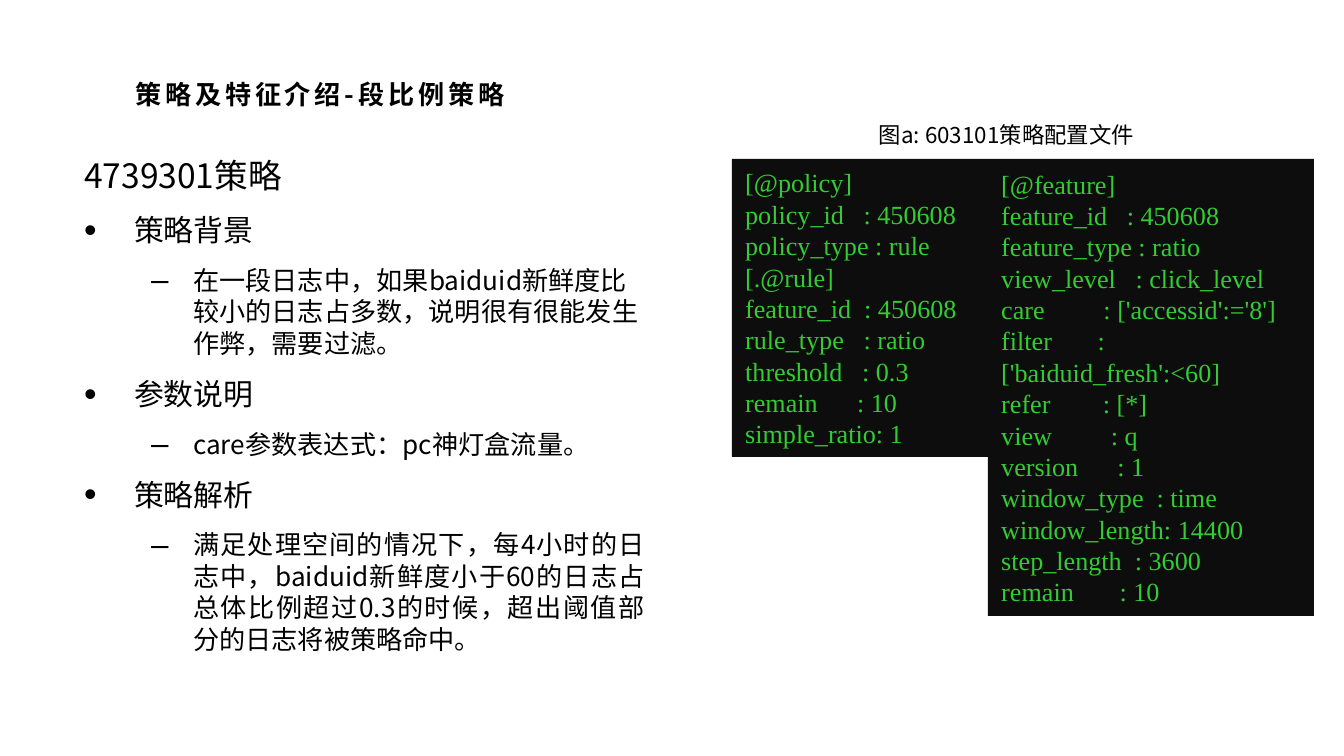
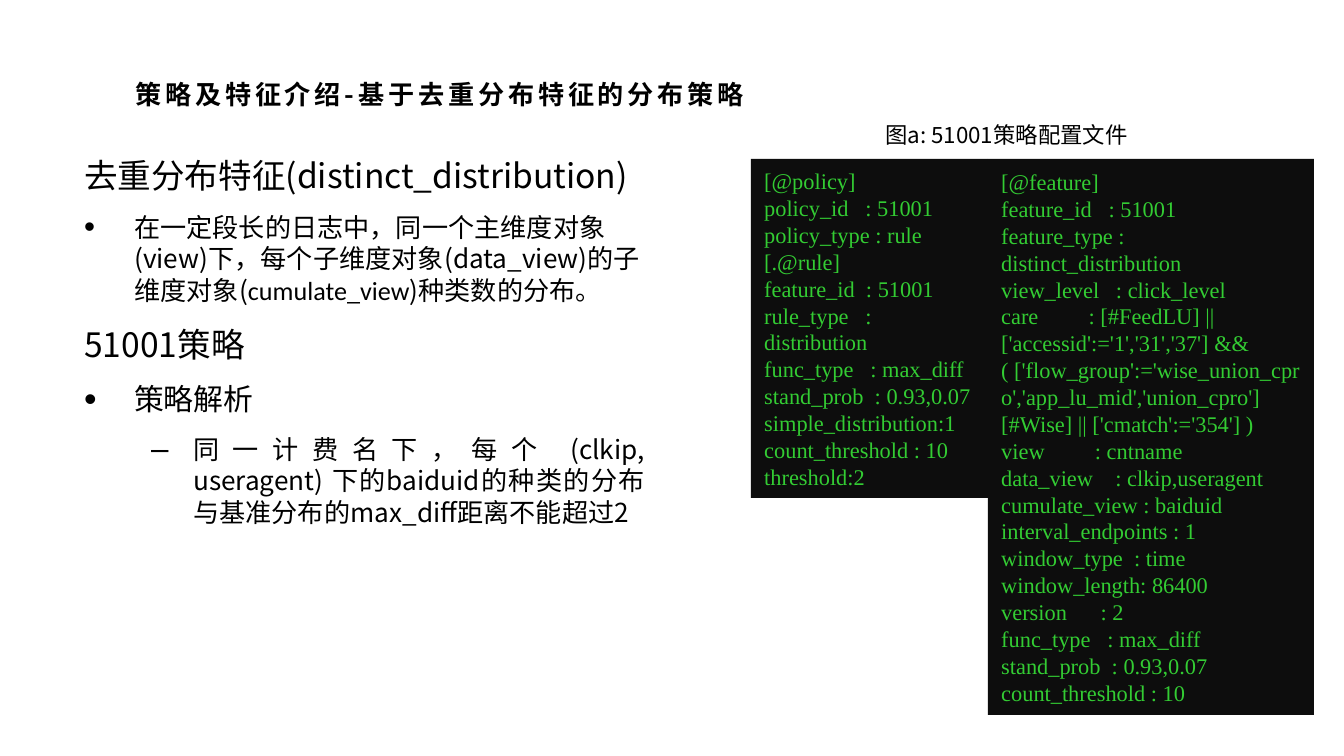
from lxml import etree
from pptx import Presentation
from pptx.dml.color import RGBColor
from pptx.enum.shapes import MSO_SHAPE
from pptx.enum.text import MSO_ANCHOR, MSO_AUTO_SIZE, PP_ALIGN
from pptx.oxml.ns import qn
from pptx.util import Emu, Pt

RECTANGLE = MSO_SHAPE.RECTANGLE
MIDDLE = MSO_ANCHOR.MIDDLE
GROW = MSO_AUTO_SIZE.SHAPE_TO_FIT_TEXT
LEFT, CENTER, JUSTIFY = PP_ALIGN.LEFT, PP_ALIGN.CENTER, PP_ALIGN.JUSTIFY

PX_PER_INCH = 134.4
BLACK, PANEL, GREEN = "000000", "0D0D0D", "33CC33"
SANS, SERIF, LATIN = "Noto Sans CJK SC", "Times New Roman", "Calibri"

BODY_BOX = (71, 148, 587, 575)
CAPTION_BOX = (781, 115, 451, 40)
PANEL_TOP = 159
FEATURE_LEFT, FEATURE_WIDTH = 988, 326

# Outline style: level, left margin, hanging indent, bullet
HEADING = (0, 0, 0, None)
BULLET = (0, 50, -50, "•")
DASH = (1, 109, -42, "–")


def px(length):
    return Emu(round(length * 914400 / PX_PER_INCH))


def color(hex_string):
    return RGBColor.from_string(hex_string)


def add_run(paragraph, text, size, font=SANS, fill=BLACK):
    run = paragraph.add_run()
    run.text = text
    run.font.size = Pt(size)
    run.font.color.rgb = color(fill)
    run.font.name = font
    properties = run.font._element
    etree.SubElement(properties, qn("a:ea")).set("typeface", font)
    return run


def add_text_box(slide, box):
    shape = slide.shapes.add_textbox(*map(px, box))
    shape.text_frame.word_wrap = True
    return shape.text_frame


def paragraphs(frame, items):
    """Yield each item with its own paragraph of the frame."""
    for index, item in enumerate(items):
        yield (frame.add_paragraph() if index else frame.paragraphs[0]), item


def set_outline(paragraph, style):
    level, margin, indent, bullet = style
    paragraph.level = level
    properties = paragraph._p.get_or_add_pPr()
    properties.set("marL", str(px(margin)))
    properties.set("indent", str(px(indent)))
    if bullet:
        etree.SubElement(properties, qn("a:buSzPct")).set("val", "120000")
        etree.SubElement(properties, qn("a:buFont")).set("typeface", "Arial")
        etree.SubElement(properties, qn("a:buChar")).set("char", bullet)


def add_title(slide, text, width):
    frame = add_text_box(slide, (122, 59, width, 58))
    frame.auto_size = GROW
    paragraph = frame.paragraphs[0]
    paragraph.line_spacing = 1.4
    run = add_run(paragraph, text, 14)
    run.font.bold = True
    run.font._element.set("spc", "200")


def add_body(slide, outline):
    """Each outline entry is style, size, alignment and (text, font) runs."""
    frame = add_text_box(slide, BODY_BOX)
    for paragraph, (style, size, alignment, runs) in paragraphs(frame, outline):
        set_outline(paragraph, style)
        paragraph.alignment = alignment
        if paragraph._p is not frame.paragraphs[0]._p:
            paragraph.space_before = Pt(size * 0.2)
        paragraph.space_after = Pt(6)
        for text, font in runs:
            add_run(paragraph, text, size, font)


def add_caption(slide, text):
    frame = add_text_box(slide, CAPTION_BOX)
    frame.auto_size = GROW
    frame.paragraphs[0].alignment = CENTER
    add_run(frame.paragraphs[0], text, 12)


def add_code_panel(slide, box, code, size):
    shape = slide.shapes.add_shape(RECTANGLE, *map(px, box))
    shape.shadow.inherit = False
    shape.fill.solid()
    shape.fill.fore_color.rgb = color(PANEL)
    shape.line.fill.background()
    frame = shape.text_frame
    frame.word_wrap = True
    frame.auto_size = GROW
    frame.vertical_anchor = MIDDLE
    for paragraph, line in paragraphs(frame, code.strip().splitlines()):
        paragraph.alignment = LEFT
        add_run(paragraph, line, size, SERIF, GREEN)


def add_policy_slide(presentation, content):
    slide = presentation.slides.add_slide(presentation.slide_layouts[6])
    add_title(slide, content["title"], content["title_width"])
    add_body(slide, content["outline"])
    size = content["code_size"]
    feature_box = (FEATURE_LEFT, PANEL_TOP, FEATURE_WIDTH, content["feature_height"])
    add_code_panel(slide, feature_box, content["feature"], size)
    add_caption(slide, content["caption"])
    width, height = content["policy_size"]
    policy_box = (FEATURE_LEFT - width, PANEL_TOP, width, height)
    add_code_panel(slide, policy_box, content["policy"], size)


def entry(style, size, text, alignment=LEFT):
    return style, size, alignment, [(text, SANS)]


RATIO_POLICY = {
    "title": "策略及特征介绍-段比例策略",
    "title_width": 404,
    "outline": [
        entry(HEADING, 18, "4739301策略"),
        entry(BULLET, 16, "策略背景"),
        entry(DASH, 14, "在一段日志中，如果baiduid新鲜度比较小的日志占多数，"
                        "说明很有很能发生作弊，需要过滤。"),
        entry(BULLET, 16, "参数说明", JUSTIFY),
        entry(DASH, 14, "care参数表达式：pc神灯盒流量。"),
        entry(BULLET, 16, "策略解析", JUSTIFY),
        entry(DASH, 14, "满足处理空间的情况下，每4小时的日志中，baiduid新鲜度小于60的日志"
                        "占总体比例超过0.3的时候，超出阈值部分的日志将被策略命中。", JUSTIFY),
    ],
    "caption": "图a: 603101策略配置文件",
    "code_size": 14,
    "policy_size": (256, 298),
    "policy": """
[@policy]
policy_id   : 450608
policy_type : rule
[.@rule]
feature_id  : 450608
rule_type   : ratio
threshold   : 0.3
remain      : 10
simple_ratio: 1
""",
    "feature_height": 457,
    "feature": """
[@feature]
feature_id   : 450608
feature_type : ratio
view_level   : click_level
care         : ['accessid':='8']
filter       : ['baiduid_fresh':<60]
refer        : [*]
view         : q
version      : 1
window_type  : time
window_length: 14400
step_length  : 3600
remain       : 10
""",
}

DISTRIBUTION_POLICY = {
    "title": "策略及特征介绍-基于去重分布特征的分布策略",
    "title_width": 644,
    "outline": [
        entry(HEADING, 18, "去重分布特征(distinct_distribution)"),
        (BULLET, 14, LEFT, [
            ("在一定段长的日志中，同一个主维度对象(view)下，"
             "每个子维度对象(data_view)的子维度对象(", SANS),
            ("cumulate_view", LATIN),
            (")种类数的分布。", SANS),
        ]),
        entry(HEADING, 18, "51001策略"),
        entry(BULLET, 16, "策略解析"),
        entry(DASH, 14, "同一计费名下，每个 (clkip, useragent) 下的baiduid的种类的分布"
                        "与基准分布的max_diff距离不能超过2", JUSTIFY),
    ],
    "caption": "图a: 51001策略配置文件",
    "code_size": 12,
    "policy_size": (237, 339),
    "policy": """
[@policy]
policy_id   : 51001
policy_type : rule
[.@rule]
feature_id  : 51001
rule_type   : distribution
func_type   : max_diff
stand_prob  : 0.93,0.07
simple_distribution:1
count_threshold : 10
threshold:2
""",
    "feature_height": 556,
    "feature": """
[@feature]
feature_id   : 51001
feature_type : distinct_distribution
view_level   : click_level
care         : [#FeedLU] || ['accessid':='1','31','37'] && \
( ['flow_group':='wise_union_cpro','app_lu_mid','union_cpro'][#Wise] || ['cmatch':='354'] )
view         : cntname
data_view    : clkip,useragent
cumulate_view : baiduid
interval_endpoints : 1
window_type  : time
window_length: 86400
version      : 2
func_type   : max_diff
stand_prob  : 0.93,0.07
count_threshold : 10
""",
}


def main():
    presentation = Presentation()
    presentation.slide_width = px(1344)
    presentation.slide_height = px(756)
    for content in (RATIO_POLICY, DISTRIBUTION_POLICY):
        add_policy_slide(presentation, content)
    presentation.save("out.pptx")


if __name__ == "__main__":
    main()
